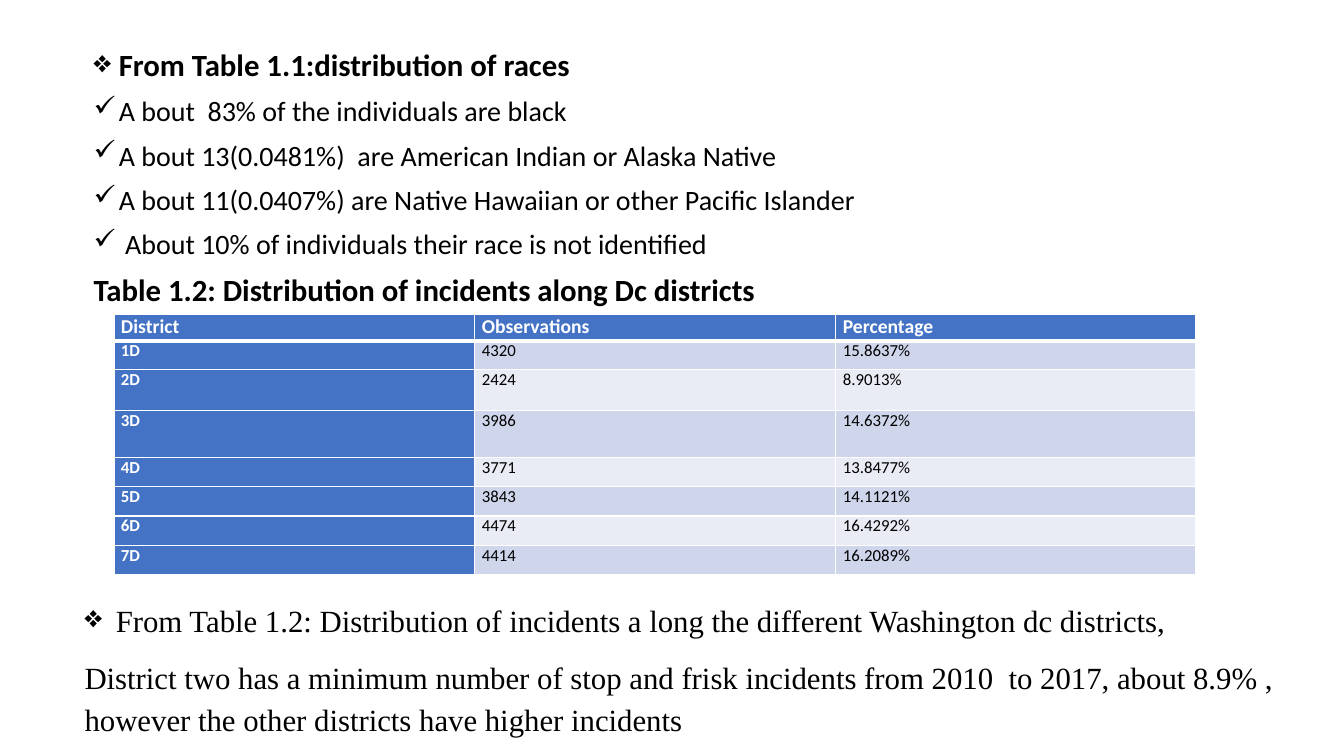
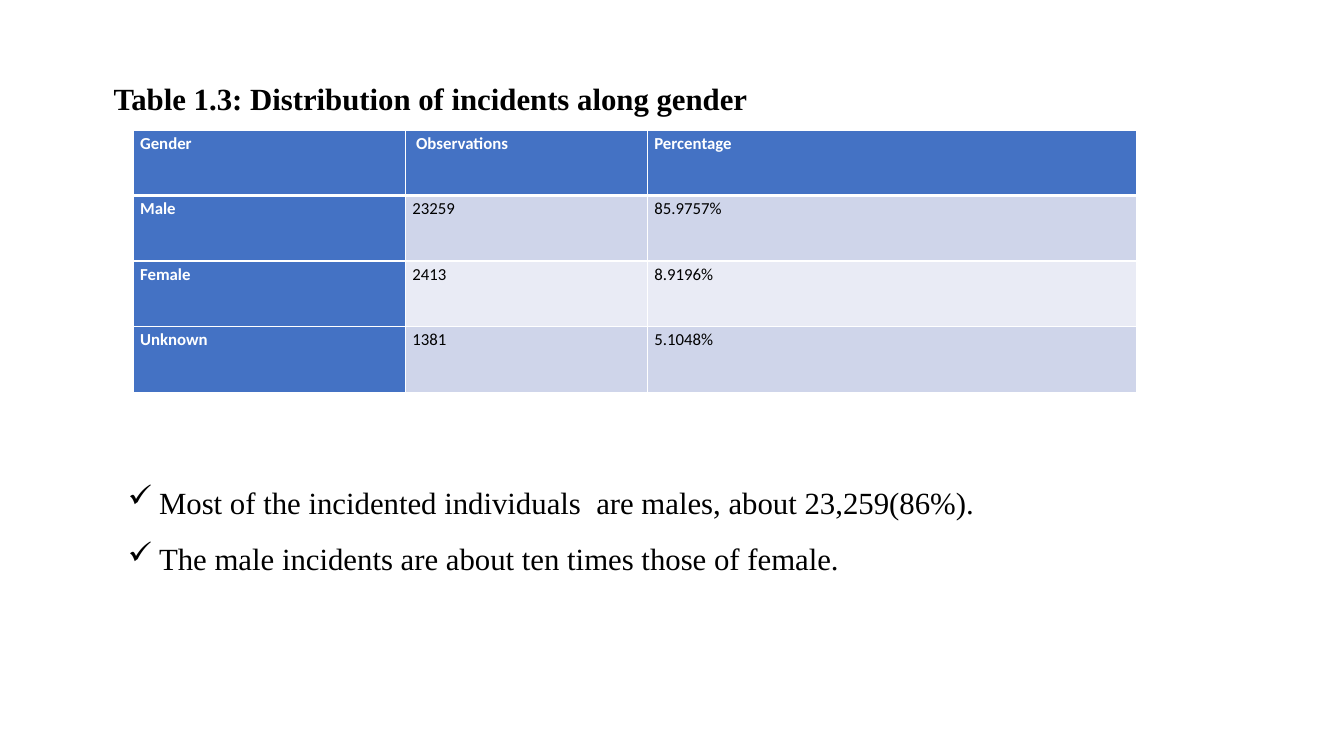
from lxml import etree
from pptx import Presentation
from pptx.dml.color import RGBColor
from pptx.enum import text
from pptx.oxml import ns
from pptx.util import Inches, Pt

SANS, SERIF = "Calibri", "Times New Roman"
BLACK, WHITE, HEADER_BLUE = "000000", "FFFFFF", "4472C4"
BANDS = ["CFD5EA", "E9EBF5"]
DIAMOND, CHECK = "❖", "✓"


def colour(hex_value):
    return RGBColor.from_string(hex_value)


def style_font(paragraph, face, size, ink=BLACK, bold=False):
    font = paragraph.font
    font.name, font.size, font.bold = face, Pt(size), bold
    font.color.rgb = colour(ink)


def add_bullet(paragraph, symbol, indent):
    props = paragraph._p.get_or_add_pPr()
    props.set("marL", str(Inches(indent)))
    props.set("indent", str(-Inches(indent)))
    etree.SubElement(props, ns.qn("a:buChar")).set("char", symbol)


def add_text(slide, box, lines, face, spacing, before=0, after=0, indent=0.31, wrap=True):
    """Each line is (bullet or None, wording, size, bold)."""
    frame = slide.shapes.add_textbox(*map(Inches, box)).text_frame
    frame.word_wrap = wrap
    frame.vertical_anchor = text.MSO_ANCHOR.TOP
    for i, (bullet, wording, size, bold) in enumerate(lines):
        paragraph = frame.add_paragraph() if i else frame.paragraphs[0]
        paragraph.text = wording
        paragraph.line_spacing = spacing
        paragraph.space_before, paragraph.space_after = Pt(before), Pt(after)
        if bullet:
            add_bullet(paragraph, bullet, indent)
        style_font(paragraph, face, size, bold=bold)


def set_borders(cell, top, bottom):
    """White rules, placed ahead of the cell fill as the schema asks."""
    props = cell._tc.get_or_add_tcPr()
    widths = [("a:lnL", 1), ("a:lnR", 1), ("a:lnT", top), ("a:lnB", bottom)]
    for i, (tag, width) in enumerate(widths):
        line = etree.Element(ns.qn(tag), w=str(Pt(width)))
        fill = etree.SubElement(line, ns.qn("a:solidFill"))
        etree.SubElement(fill, ns.qn("a:srgbClr")).set("val", WHITE)
        props.insert(i, line)


def add_banded_table(slide, left, top, widths, heights, rows, header_size=12, spacing=1.0):
    table = slide.shapes.add_table(
        len(rows), len(widths), Inches(left), Inches(top),
        Inches(sum(widths)), Inches(sum(heights))).table
    table.first_col = True
    for column, width in zip(table.columns, widths):
        column.width = Inches(width)
    for r, (height, values) in enumerate(zip(heights, rows)):
        table.rows[r].height = Inches(height)
        for c, value in enumerate(values):
            cell = table.cell(r, c)
            heading = r == 0 or c == 0
            cell.margin_left = cell.margin_right = Inches(0.07)
            cell.margin_top = cell.margin_bottom = 0
            cell.fill.solid()
            cell.fill.fore_color.rgb = colour(HEADER_BLUE if heading else BANDS[(r - 1) % 2])
            set_borders(cell, 3 if r == 1 else 1, 3 if r == 0 else 1)
            paragraph = cell.text_frame.paragraphs[0]
            paragraph.text = value
            paragraph.line_spacing = spacing
            style_font(paragraph, SANS, header_size if r == 0 else 12,
                       WHITE if heading else BLACK, heading)


def build_districts(slide):
    # Findings on race, ending in the table caption
    add_text(slide, (0.83, 0.45, 10.94, 6.13), [
        (DIAMOND, "From Table 1.1:distribution of races", 22, True),
        (CHECK, "A bout  83% of the individuals are black", 20, False),
        (CHECK, "A bout 13(0.0481%)  are American Indian or Alaska Native", 20, False),
        (CHECK, "A bout 11(0.0407%) are Native Hawaiian or other Pacific Islander", 20, False),
        (CHECK, " About 10% of individuals their race is not identified", 20, False),
        (None, "Table 1.2: Distribution of incidents along Dc districts", 22, True),
    ], SANS, 0.9, before=10, indent=0.25)
    # Incidents by district
    add_banded_table(
        slide, 1.13, 3.12, [3.58, 3.58, 3.57], [0.26, 0.29, 0.4, 0.47] + [0.29] * 4, [
            ("District", "Observations", "Percentage"),
            ("1D", "4320", "15.8637%"),
            ("2D", "2424", "8.9013%"),
            ("3D", "3986", "14.6372%"),
            ("4D", "3771", "13.8477%"),
            ("5D", "3843", "14.1121%"),
            ("6D", "4474", "16.4292%"),
            ("7D", "4414", "16.2089%"),
        ], header_size=14)
    # Findings on districts
    add_text(slide, (0.74, 5.87, 12.3, 1.95), [
        (DIAMOND, "From Table 1.2: Distribution of incidents a long the different "
                  "Washington dc districts,", 22, False),
        (None, "District two has a minimum number of stop and frisk incidents from 2010  "
               "to 2017, about 8.9% , however the other districts have higher incidents",
         22, False),
    ], SERIF, 1.15, after=10)


def build_gender(slide):
    # Incidents by gender
    add_banded_table(slide, 1.32, 1.29, [2.7, 2.4, 4.85], [0.65] * 4, [
        ("Gender", " Observations", "Percentage"),
        ("Male", "23259", "85.9757%"),
        ("Female", "2413", "8.9196%"),
        ("Unknown", "1381", "5.1048%"),
    ], spacing=1.15)
    # Caption
    add_text(slide, (1.03, 0.69, 6.56, 0.5), [
        (None, "Table 1.3: Distribution of incidents along gender", 22, True),
    ], SERIF, 1.15, after=10, wrap=False)
    # Findings on gender
    add_text(slide, (1.17, 4.69, 10.94, 1.07), [
        (CHECK, "Most of the incidented individuals  are males, about 23,259(86%).", 22, False),
        (CHECK, "The male incidents are about ten times those of female.", 22, False),
    ], SERIF, 1.15, after=10)


def main():
    deck = Presentation()
    deck.slide_width, deck.slide_height = Inches(13.33), Inches(7.5)
    for build in (build_districts, build_gender):
        build(deck.slides.add_slide(deck.slide_layouts[6]))
    deck.save("out.pptx")


if __name__ == "__main__":
    main()
